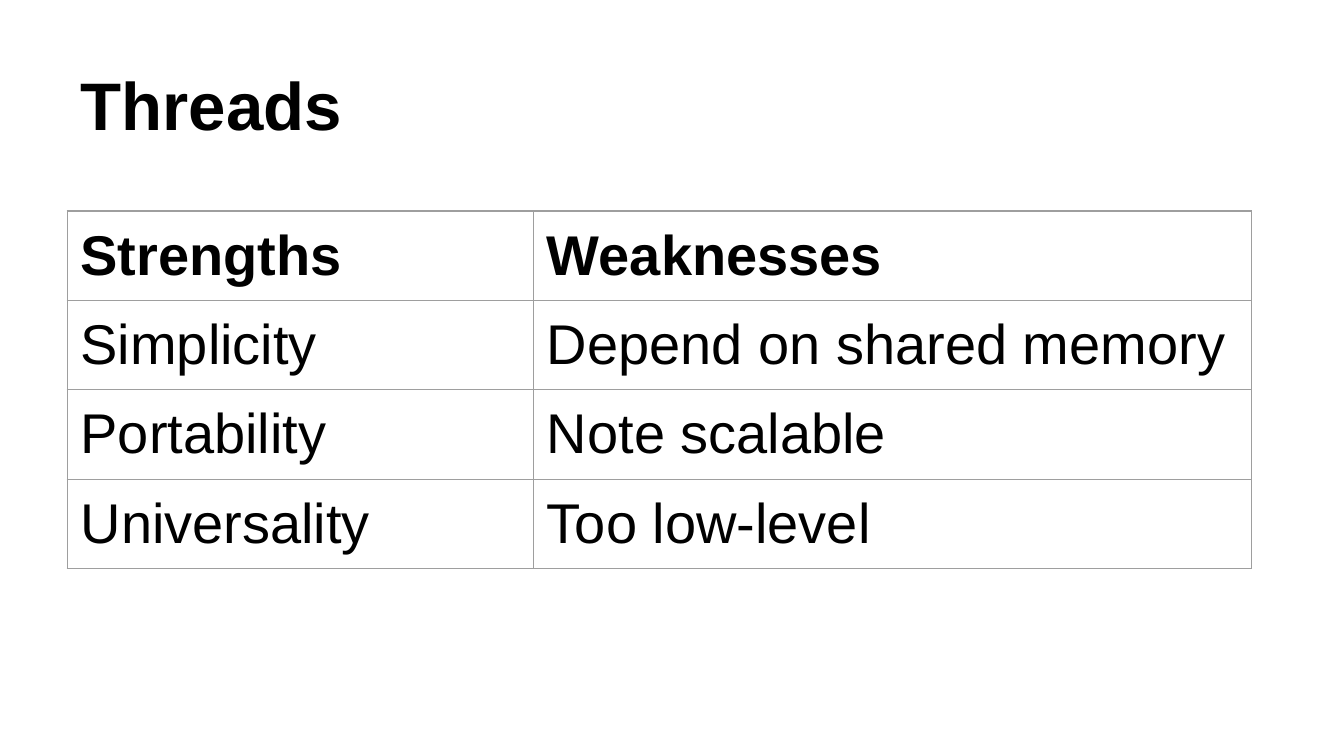
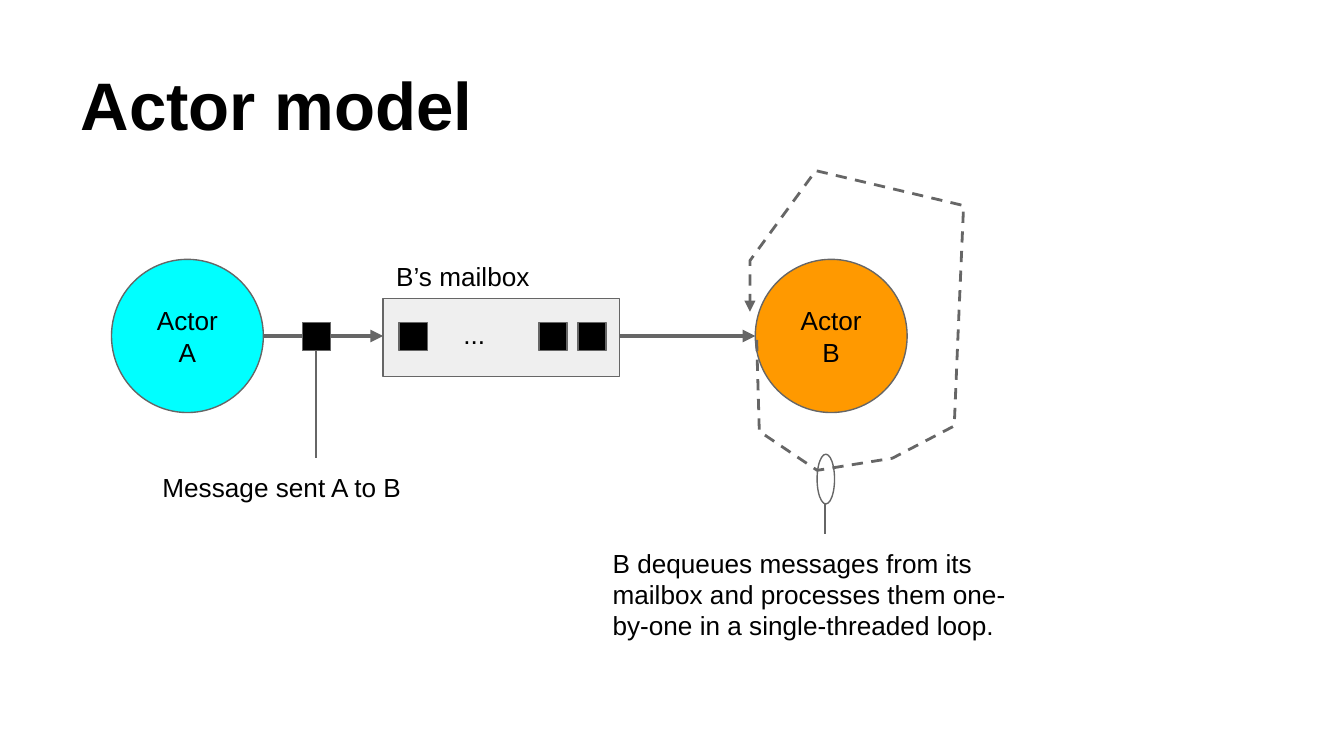
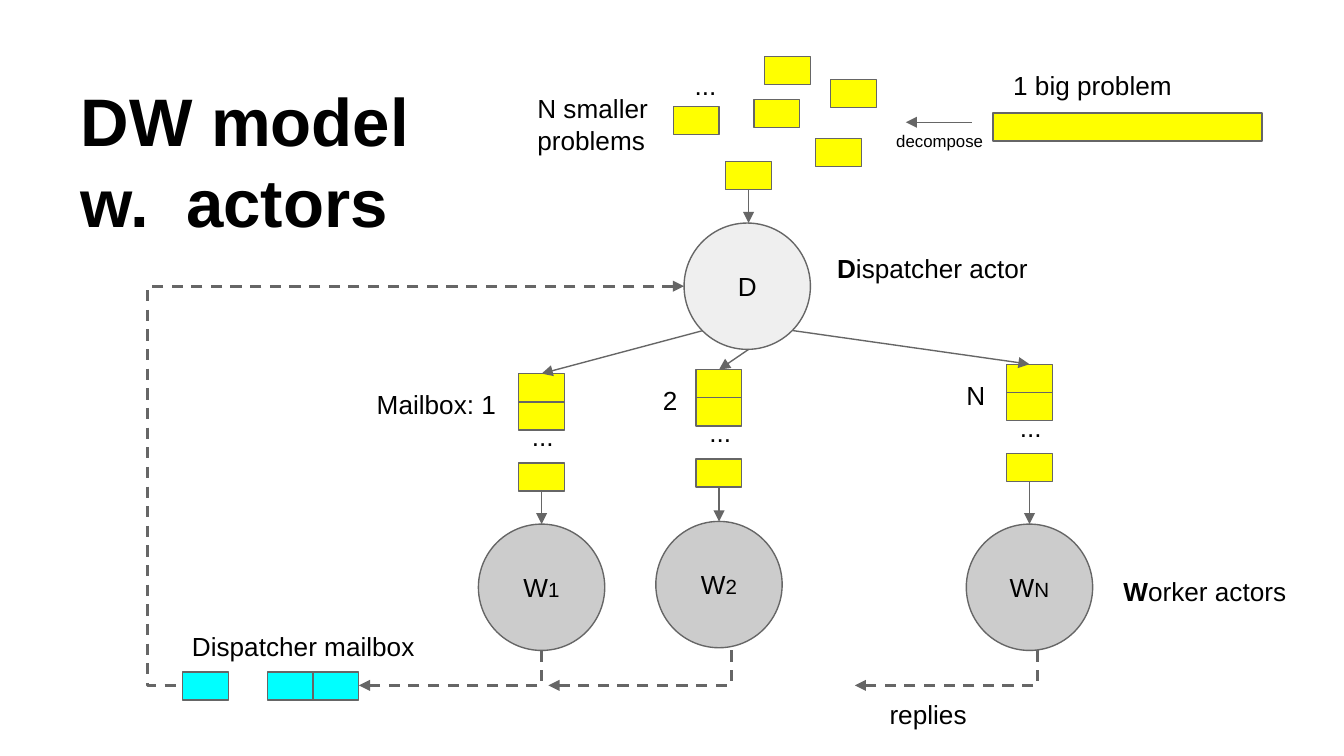
from lxml.etree import SubElement
from pptx import Presentation
from pptx.dml.color import RGBColor
from pptx.enum.dml import MSO_LINE
from pptx.enum.shapes import MSO_CONNECTOR, MSO_SHAPE
from pptx.enum.text import MSO_ANCHOR, MSO_AUTO_SIZE, PP_ALIGN
from pptx.oxml.ns import qn
from pptx.util import Inches, Pt

# Shared style; the grid is 100 columns by 56.25 rows of square cells
CELL = Inches(0.1)
INSET = Inches(0.1)
FONT = "Arial"
COLORS = {
    "ink": "000000", "outline": "666666", "border": "9E9E9E",
    "pale": "EFEFEF", "worker": "CCCCCC", "cyan": "00FFFF",
    "orange": "FF9900", "yellow": "FFFF00",
}
TOKEN = 2.1  # side of a message square
TASK_W, TASK_H = 3.4, 2.1
CIRCLE = 9.4


def color(name):
    return RGBColor.from_string(COLORS[name])


def grid(*cells):
    return [round(cell * CELL) for cell in cells]


class Deck:
    def __init__(self):
        self.prs = Presentation()
        self.prs.slide_width, self.prs.slide_height = grid(100, 56.25)
        self.slide = None

    def new_slide(self, title, width=90, height=9.4):
        self.slide = self.prs.slides.add_slide(self.prs.slide_layouts[5])
        heading = self.slide.shapes.title
        heading.left, heading.top, heading.width, heading.height = grid(5, 2.3, width, height)
        self.fill_text(heading.text_frame, title, size=36, bold=True, anchor=MSO_ANCHOR.BOTTOM)

    def fill_text(self, frame, text, tail="", size=14, tail_size=None, bold=False,
                  align=PP_ALIGN.LEFT, anchor=MSO_ANCHOR.TOP):
        """Fill a frame with text and an optional lighter or smaller tail."""
        frame.word_wrap = True
        frame.auto_size = MSO_AUTO_SIZE.NONE
        frame.vertical_anchor = anchor
        frame.margin_left = frame.margin_right = INSET
        frame.margin_top = frame.margin_bottom = INSET
        frame.text = text
        paragraph = frame.paragraphs[0]
        paragraph.alignment = align
        if tail:
            paragraph.add_run().text = tail
        for index, run in enumerate(paragraph.runs):
            run.font.name = FONT
            run.font.size = Pt(tail_size if index and tail_size else size)
            run.font.bold = bold and index == 0
            run.font.color.rgb = color("ink")

    def label(self, left, top, width, height, text, tail="", **style):
        box = self.slide.shapes.add_textbox(*grid(left, top, width, height))
        self.fill_text(box.text_frame, text, tail, **style)

    def shape(self, kind, left, top, width, height, fill=None, text="", tail="", **style):
        item = self.slide.shapes.add_shape(kind, *grid(left, top, width, height))
        item.shadow.inherit = False
        if fill:
            item.fill.solid()
            item.fill.fore_color.rgb = color(fill)
        else:
            item.fill.background()
        self.stroke(item)
        if text:
            self.fill_text(item.text_frame, text, tail, align=PP_ALIGN.CENTER,
                           anchor=MSO_ANCHOR.MIDDLE, **style)

    def rect(self, left, top, width, height, fill):
        self.shape(MSO_SHAPE.RECTANGLE, left, top, width, height, fill)

    def oval(self, left, top, width, height, fill=None, text="", tail="", **style):
        self.shape(MSO_SHAPE.OVAL, left, top, width, height, fill, text, tail, **style)

    def task(self, left, top, fill="yellow"):
        self.rect(left, top, TASK_W, TASK_H, fill)

    def stroke(self, item, width=0.75, dashed=False, arrow=None):
        item.line.color.rgb = color("outline")
        item.line.width = Pt(width)
        if dashed:
            item.line.dash_style = MSO_LINE.DASH
        if arrow:
            line = item.element.spPr.find(qn("a:ln"))
            SubElement(line, qn(f"a:{arrow}"), type="triangle")

    def connect(self, start, end, kind=MSO_CONNECTOR.STRAIGHT, **style):
        link = self.slide.shapes.add_connector(kind, *grid(*start, *end))
        self.stroke(link, **style)
        SubElement(link.element.spPr, qn("a:effectLst"))
        return link

    def arrow(self, start, end, width=0.75):
        self.connect(start, end, width=width, arrow="tailEnd")

    def elbow_down_left(self, left, top, run, drop):
        """Dashed arrow that goes down from (left, top), then left."""
        middle_x, middle_y = left - run / 2, top + drop / 2
        link = self.connect((middle_x - drop / 2, middle_y - run / 2),
                            (middle_x + drop / 2, middle_y + run / 2),
                            MSO_CONNECTOR.ELBOW, width=1.5, dashed=True, arrow="tailEnd")
        properties = link.element.spPr
        properties.find(qn("a:xfrm")).set("rot", str(90 * 60000))
        properties.find(qn("a:prstGeom")).set("prst", "bentConnector2")

    def elbow_around(self, start, end, bend):
        """Dashed elbow with its arrowhead at the start; bend is a share of the run."""
        link = self.connect(start, end, MSO_CONNECTOR.ELBOW, width=1.5,
                            dashed=True, arrow="headEnd")
        geometry = link.element.spPr.find(qn("a:prstGeom"))
        adjustments = geometry.find(qn("a:avLst"))
        if adjustments is None:
            adjustments = SubElement(geometry, qn("a:avLst"))
        SubElement(adjustments, qn("a:gd"), name="adj1", fmla=f"val {round(bend * 100000)}")

    def dashed_route(self, points):
        first, *rest = [grid(*point) for point in points]
        builder = self.slide.shapes.build_freeform(*first)
        builder.add_line_segments(rest, close=False)
        route = builder.convert_to_shape()
        route.shadow.inherit = False
        route.fill.background()
        self.stroke(route, width=1.5, dashed=True, arrow="tailEnd")

    def table(self, left, top, widths, row_height, rows):
        frame = self.slide.shapes.add_table(
            len(rows), len(widths),
            *grid(left, top, sum(widths), row_height * len(rows)))
        table = frame.table
        table.first_row = table.horz_banding = False
        for column, width in zip(table.columns, grid(*widths)):
            column.width = width
        for r, row in enumerate(rows):
            for c, text in enumerate(row):
                self.fill_cell(table.cell(r, c), text, bold=r == 0)

    def fill_cell(self, cell, text, bold):
        cell.margin_left = cell.margin_right = INSET
        cell.margin_top = cell.margin_bottom = INSET
        cell.text = text
        font = cell.text_frame.paragraphs[0].runs[0].font
        font.name, font.size, font.bold = FONT, Pt(30), bold
        font.color.rgb = color("ink")
        properties = cell._tc.get_or_add_tcPr()
        for side in "LRTB":
            line = SubElement(properties, qn(f"a:ln{side}"), w=str(Pt(0.75)))
            fill = SubElement(line, qn("a:solidFill"))
            SubElement(fill, qn("a:srgbClr"), val=COLORS["border"])
        cell.fill.background()


def threads(deck):
    deck.new_slide("Threads")
    deck.table(5, 15.7, (34.7, 53.4), 4.2, [
        ("Strengths", "Weaknesses"),
        ("Simplicity", "Depend on shared memory"),
        ("Portability", "Note scalable"),
        ("Universality", "Too low-level"),
    ])


def actor_model(deck):
    deck.new_slide("Actor model")
    axis = 25

    # Actors
    for left, fill, name in ((8.3, "cyan", "Actor A"), (56.2, "orange", "Actor B")):
        deck.oval(left, 19.3, 11.3, 11.4, fill, name)

    # Mailbox and the messages in it
    deck.rect(28.5, 22.2, 17.6, 5.8, "pale")
    for left in (40.1, 43, 29.7):
        deck.rect(left, 24, TOKEN, TOKEN, "ink")
    deck.label(33.5, 22.7, 4.9, 4.6, "...")
    deck.arrow((46.1, axis), (56.2, axis), width=2.25)
    deck.arrow((19.6, axis), (28.5, axis), width=2.25)
    deck.label(28.5, 18.4, 12.6, 3.1, "B’s mailbox")

    # Processing loop of B
    deck.oval(60.8, 33.8, 1.3, 3.7)
    deck.label(44.6, 39.7, 33.7, 11.4,
               "B dequeues messages from its mailbox and processes them "
               "one-by-one in a single-threaded loop.")
    deck.connect((61.4, 37.5), (61.4, 39.7))
    deck.dashed_route([
        (56.3, 25.3), (56.5, 32.1), (60.8, 35), (66.4, 34.1), (71, 31.7),
        (71.3, 24.5), (71.7, 15.3), (60.7, 12.7), (55.8, 19.4), (55.8, 23.2),
    ])

    # Message on its way
    deck.rect(22.5, 24, TOKEN, TOKEN, "ink")
    deck.label(11.1, 34.1, 24.8, 3.7, "Message sent A to B")
    deck.connect((23.5, 26.1), (23.5, 34.1))


def dispatcher_workers(deck):
    deck.new_slide("DW model w.  actors", width=28.3, height=16.6)

    # Dispatcher
    deck.oval(50.9, 16.6, CIRCLE, CIRCLE, "pale", "D")
    deck.arrow((55.7, 14.1), (55.7, 16.6))
    deck.label(61.3, 17.8, 17, 3.3, "D", "ispatcher actor", bold=True)

    # Workers: number, centre, mailbox top, circle top, label, label right and width,
    # dispatch start, reply start
    workers = [
        ("1", 40.3, 27.8, 39, "Mailbox: 1", 37.9, 16.2, (52.3, 24.6), 40.3),
        ("2", 53.5, 27.5, 38.8, "2", 51.4, 4.3, (55.7, 26), 54.4),
        ("N", 76.6, 27.1, 39, "N", 74.3, 4.3, (59, 24.6), 77.2),
    ]
    for number, center, top, circle_top, name, right, width, dispatch, reply in workers:
        left = center - TASK_W / 2
        last = top + 6.65
        for task_top in (top, top + TASK_H, last):
            deck.task(left, task_top)
        deck.label(left, top + 2.5, 7.7, 3.3, "...")
        deck.label(right - width, top + 0.1, width, 4.4, name, align=PP_ALIGN.RIGHT)
        deck.oval(center - CIRCLE / 2, circle_top, CIRCLE, CIRCLE, "worker",
                  "W", number, tail_size=11)
        deck.arrow(dispatch, (center, top))
        deck.arrow((center, last + TASK_H), (center, circle_top))
        deck.elbow_down_left(reply, 48.4, run=13.6, drop=2.6)
    deck.label(82.6, 41.8, 16.2, 3.3, "W", "orker actors", bold=True)

    # Replies to the dispatcher
    for left in (23.3, 19.9, 13.6):
        deck.task(left, 50, "cyan")
    deck.elbow_around((50.9, 21.3), (13.6, 51), bend=1.07)
    deck.label(13.3, 45.9, 20, 3.3, "Dispatcher mailbox")
    deck.label(65.2, 51, 16.2, 3.3, "replies")

    # Smaller problems
    deck.label(39, 5.9, 10.6, 6.4, "N smaller problems")
    for left, top in ((50.1, 7.9), (60.7, 10.3), (54, 12), (56.1, 7.4), (61.8, 5.9), (56.9, 4.2)):
        deck.task(left, top)
    deck.label(50.7, 4.2, 7.7, 3.3, "...")

    # Big problem
    deck.rect(73.9, 8.4, 20, TASK_H, "yellow")
    deck.label(74.4, 4.2, 16.2, 4.4, "1 big problem")
    deck.arrow((72.3, 9.1), (67.4, 9.1))
    deck.label(65.7, 8.7, 9.4, 3.4, "decompose", size=9)


def main():
    deck = Deck()
    for build in (threads, actor_model, dispatcher_workers):
        build(deck)
    deck.prs.save("out.pptx")


if __name__ == "__main__":
    main()
